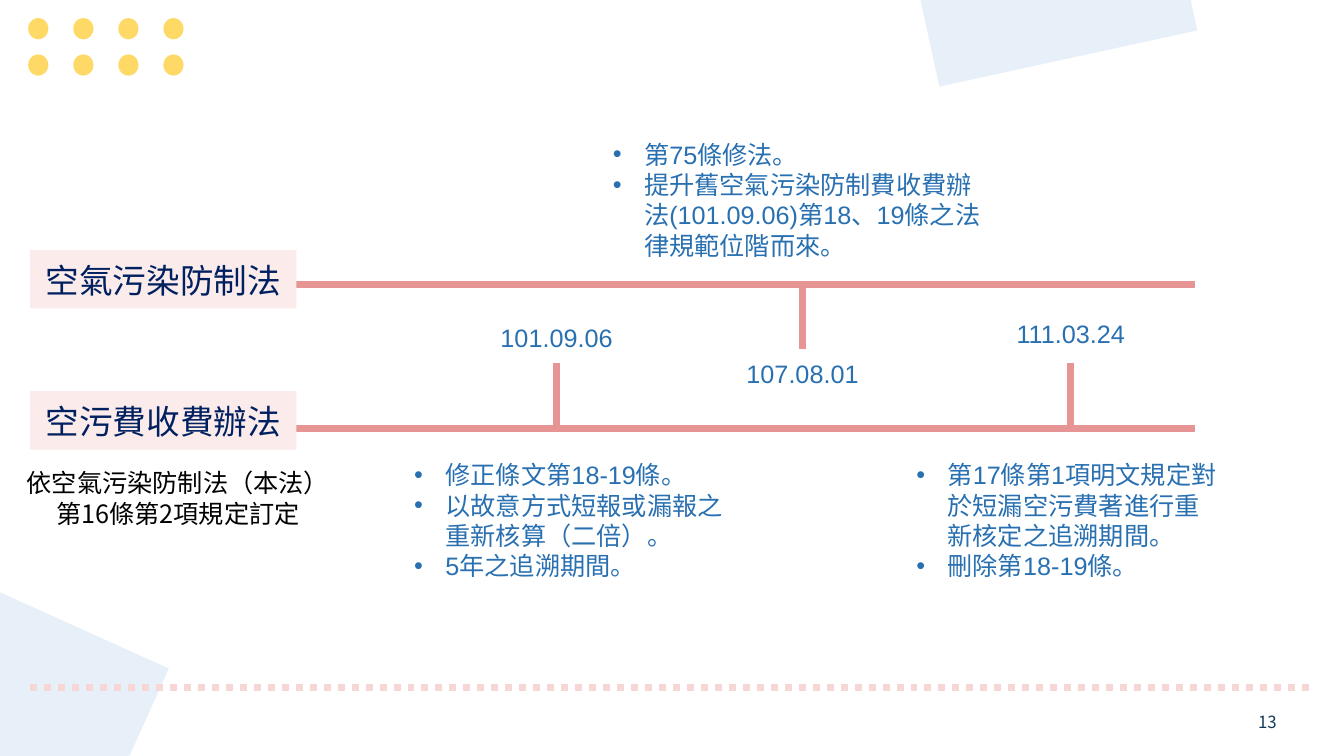
from lxml import etree
from pptx import Presentation
from pptx.dml.color import RGBColor
from pptx.enum.dml import MSO_LINE
from pptx.enum.shapes import MSO_CONNECTOR, MSO_SHAPE
from pptx.enum.text import MSO_ANCHOR, MSO_AUTO_SIZE, PP_ALIGN
from pptx.oxml.ns import qn
from pptx.util import Inches, Pt

STRAIGHT = MSO_CONNECTOR.STRAIGHT
DOTTED = MSO_LINE.ROUND_DOT
RECTANGLE, OVAL = MSO_SHAPE.RECTANGLE, MSO_SHAPE.OVAL
TOP, MIDDLE = MSO_ANCHOR.TOP, MSO_ANCHOR.MIDDLE
LEFT, CENTER = PP_ALIGN.LEFT, PP_ALIGN.CENTER
GROW = MSO_AUTO_SIZE.SHAPE_TO_FIT_TEXT

YELLOW = RGBColor(0xFF, 0xD9, 0x66)
PALE_BLUE = RGBColor(0xE7, 0xF0, 0xF8)
ROSE = RGBColor(0xE7, 0x94, 0x94)
LIGHT_ROSE = RGBColor(0xF7, 0xD6, 0xD6)
PALE_ROSE = RGBColor(0xFB, 0xEB, 0xEB)
NAVY = RGBColor(0x00, 0x20, 0x60)
BLUE = RGBColor(0x29, 0x70, 0xB1)
DARK_BLUE = RGBColor(0x14, 0x38, 0x58)
BLACK = RGBColor(0, 0, 0)

LAW_Y, RULES_Y = 2.82, 4.25
AXIS_START, AXIS_END = 1.32, 11.85

LAW_LABELS = [("空氣污染防制法", 2.48), ("空污費收費辦法", 3.88)]
# date, tick x, tick start y, tick end y, date box top
MILESTONES = [
    ("101.09.06", 5.52, RULES_Y, 3.6, 3.1),
    ("107.08.01", 7.96, LAW_Y, 3.46, 3.46),
    ("111.03.24", 10.62, RULES_Y, 3.6, 3.06),
]
AMENDMENTS = [
    ((4.01, 4.46, 3.28, 1.41),
     ["修正條文第18-19條。", "以故意方式短報或漏報之重新核算（二倍）。", "5年之追溯期間。"]),
    ((5.98, 1.28, 3.97, 1.41),
     ["第75條修法。", "提升舊空氣污染防制費收費辦法(101.09.06)第18、19條之法律規範位階而來。"]),
    ((8.99, 4.46, 3.2, 2.02),
     ["第17條第1項明文規定對於短漏空污費著進行重新核定之追溯期間。", "刪除第18-19條。"]),
]


def add_filled(shapes, kind, box, color, rotation=0):
    """Add a plain filled shape without outline or shadow."""
    shape = shapes.add_shape(kind, *map(Inches, box))
    shape.shadow.inherit = False
    shape.fill.solid()
    shape.fill.fore_color.rgb = color
    shape.line.fill.background()
    shape.rotation = rotation
    return shape


def add_line(slide, start, end, color=ROSE, dash=None):
    """Add a thick straight line between two points."""
    line = slide.shapes.add_connector(STRAIGHT, *map(Inches, (*start, *end)))
    line.line.color.rgb = color
    line.line.width = Pt(5)
    if dash:
        line.line.dash_style = dash
    properties = line.element.find(qn("p:spPr"))
    etree.SubElement(properties, qn("a:effectLst"))


def add_bullet(paragraph):
    """Give a paragraph a hanging round bullet."""
    properties = paragraph._p.get_or_add_pPr()
    properties.set("marL", str(Inches(0.31)))
    properties.set("indent", str(-Inches(0.31)))
    etree.SubElement(properties, qn("a:buFont")).set("typeface", "Arial")
    etree.SubElement(properties, qn("a:buChar")).set("char", "•")


def write(shape, lines, size=18, color=BLUE, font="Arial", align=CENTER,
          anchor=TOP, bullets=False):
    """Write one paragraph per line into a shape."""
    frame = shape.text_frame
    frame.word_wrap = True
    frame.vertical_anchor = anchor
    frame.margin_left = frame.margin_right = Inches(0.1)
    frame.margin_top = frame.margin_bottom = Inches(0.1)
    frame.text = "\n".join(lines)
    for paragraph in frame.paragraphs:
        paragraph.alignment = align
        paragraph.font.size = Pt(size)
        paragraph.font.name = font
        paragraph.font.color.rgb = color
        if bullets:
            add_bullet(paragraph)


def add_text(slide, box, lines, **style):
    """Add a text box that grows with its text."""
    text_box = slide.shapes.add_textbox(*map(Inches, box))
    write(text_box, lines, **style)
    text_box.text_frame.auto_size = GROW


def add_decoration(slide):
    """Add the dot grid, the tilted corner blocks and the dotted rule."""
    dots = slide.shapes.add_group_shape()
    for row in range(2):
        for column in range(4):
            box = (0.28 + 0.447 * column, 0.18 + 0.36 * row, 0.2, 0.21)
            add_filled(dots.shapes, OVAL, box, YELLOW)
    add_filled(slide.shapes, RECTANGLE, (9.11, -1.06, 2.62, 1.66), PALE_BLUE, 347.7)
    add_filled(slide.shapes, RECTANGLE, (-1.17, 6.02, 2.62, 1.66), PALE_BLUE, 24.3)
    add_line(slide, (0.3, 6.82), (13.03, 6.82), LIGHT_ROSE, DOTTED)


def add_timelines(slide):
    """Add both time axes with their law labels and dated ticks."""
    for y in (LAW_Y, RULES_Y):
        add_line(slide, (AXIS_START, y), (AXIS_END, y))
    for law, top in LAW_LABELS:
        label = add_filled(slide.shapes, RECTANGLE, (0.3, top, 2.64, 0.58), PALE_ROSE)
        write(label, [law], size=24, color=NAVY)
    for date, x, axis_y, tick_y, date_top in MILESTONES:
        add_line(slide, (x, axis_y), (x, tick_y))
        add_text(slide, (x - 0.8, date_top, 1.6, 0.5), [date])


def main():
    """Build the slide and save it."""
    deck = Presentation()
    deck.slide_width, deck.slide_height = Inches(13.33), Inches(7.5)
    slide = deck.slides.add_slide(deck.slide_layouts[6])
    add_decoration(slide)
    add_timelines(slide)
    for box, points in AMENDMENTS:
        add_text(slide, box, points, align=LEFT, bullets=True)
    add_text(slide, (-0.27, 4.54, 4.07, 0.81),
             ["依空氣污染防制法（本法）", "第16條第2項規定訂定"],
             color=BLACK, font="Noto Sans CJK TC")
    add_text(slide, (11.07, 6.96, 3, 0.4), ["13"], size=12, color=DARK_BLUE,
             font="Noto Sans CJK SC", anchor=MIDDLE)
    deck.save("out.pptx")


main()
